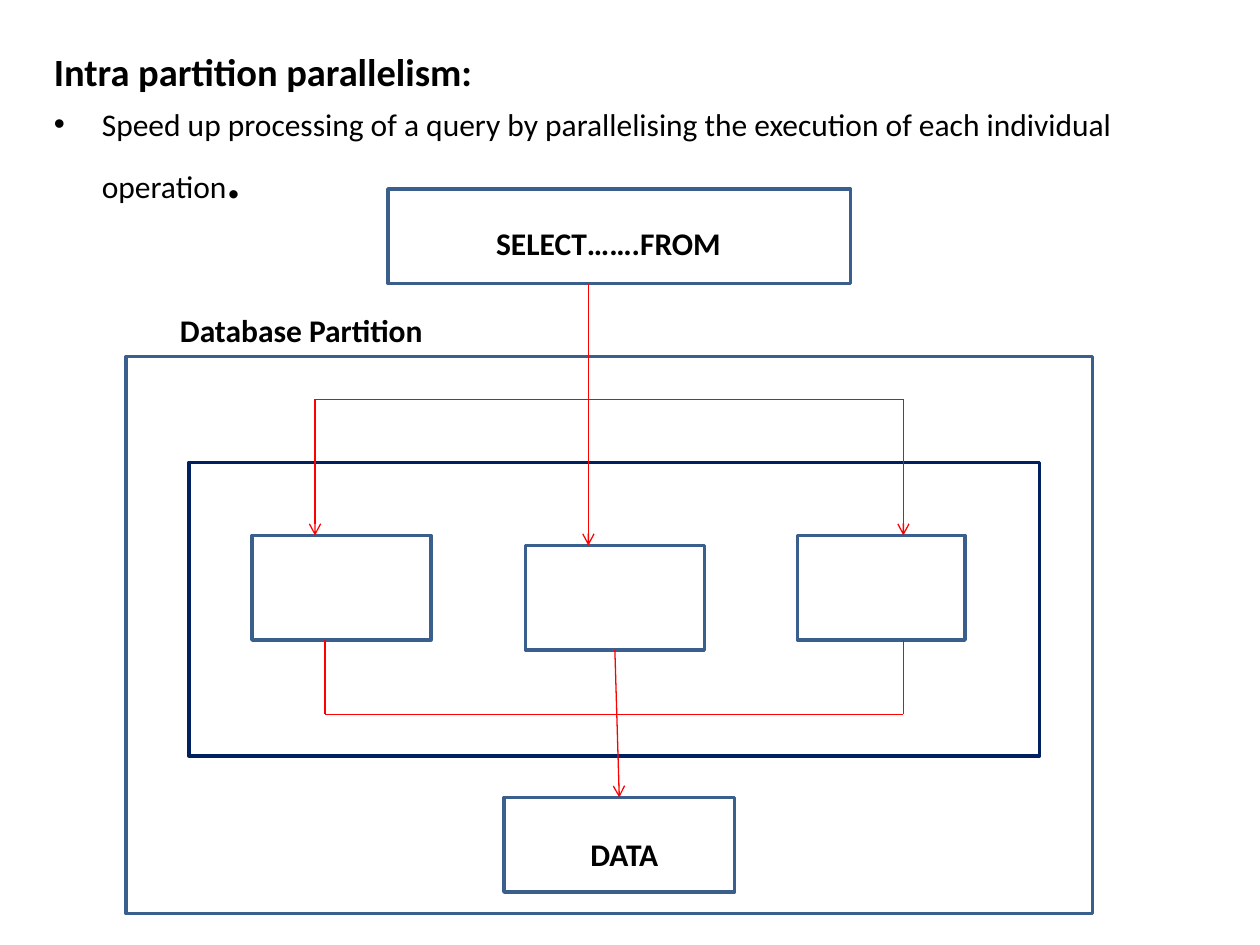
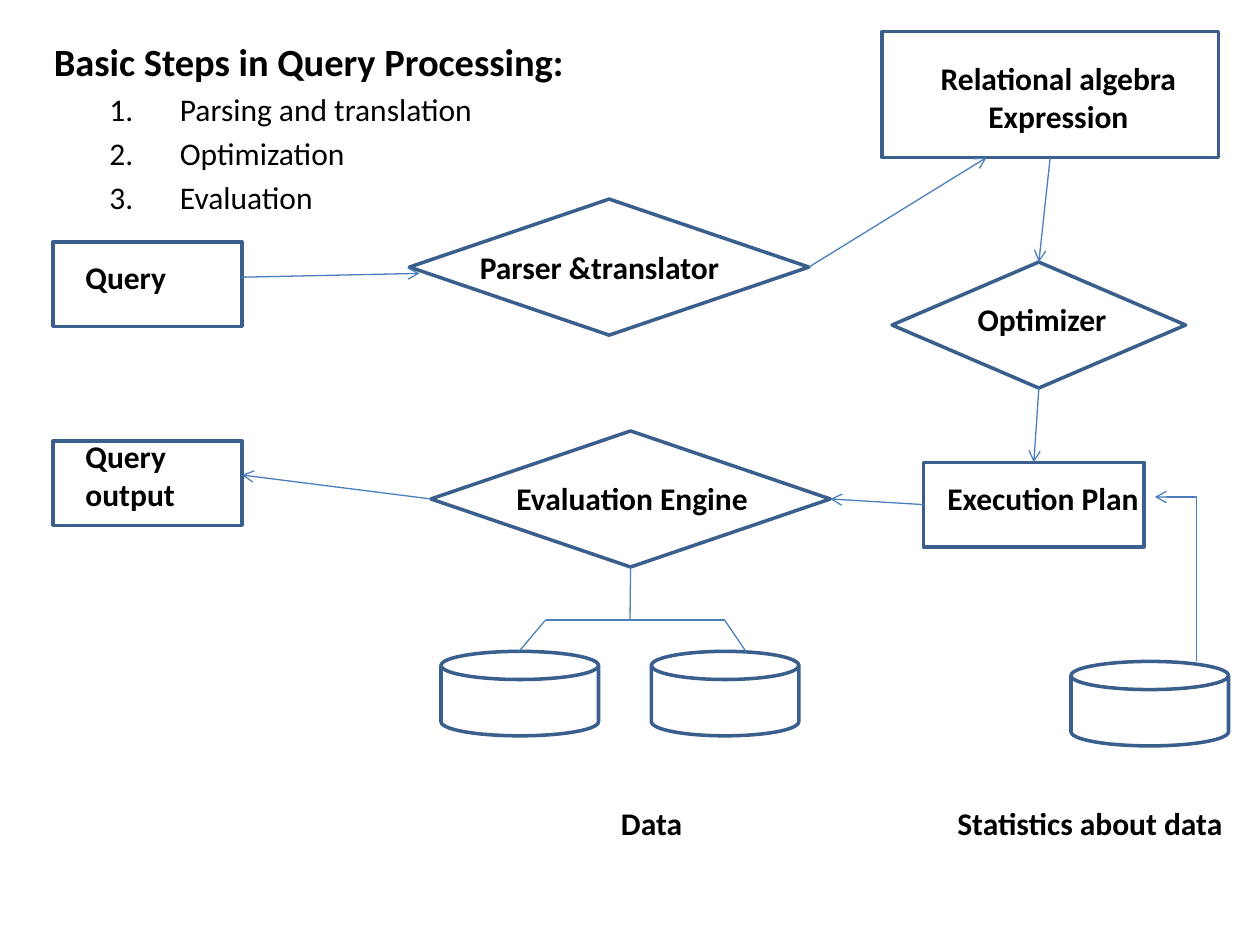
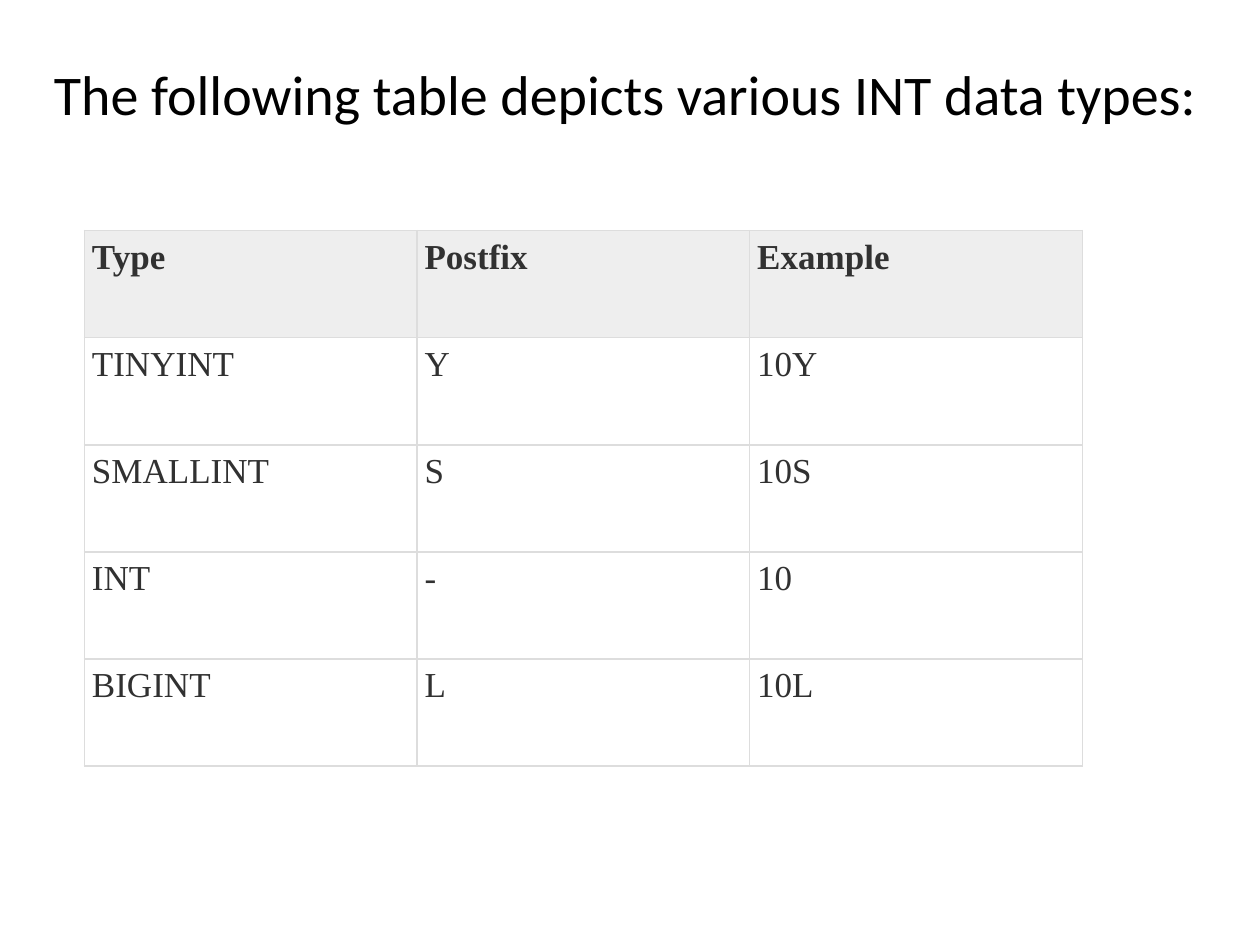
import dataclasses

import lxml.etree
import pptx
import pptx.dml.color
import pptx.enum.shapes
import pptx.enum.text
import pptx.oxml.ns
import pptx.util

Inches = pptx.util.Inches
Pt = pptx.util.Pt
SHAPE = pptx.enum.shapes.MSO_SHAPE
LINK = pptx.enum.shapes.MSO_CONNECTOR
ALIGN = pptx.enum.text.PP_ALIGN
TOP, LEFT, BOTTOM, RIGHT = range(4)


@dataclasses.dataclass(frozen=True)
class Theme:
    font: str = "Calibri"
    serif: str = "Times New Roman"
    black: str = "000000"
    edge: str = "3A5F8C"
    navy: str = "002060"
    red: str = "FF0000"
    blue: str = "4B7EBC"
    grid: str = "DDDDDD"
    head: str = "EEEEEE"
    cell: str = "313131"
    body: int = 18
    table: int = 20
    title: int = 22
    large: int = 32
    frame: float = 2
    wire: float = 0.75


THEME = Theme()


def color(code):
    return pptx.dml.color.RGBColor.from_string(code)


def add_xml(parent, tag, **attrs):
    node = lxml.etree.SubElement(parent, pptx.oxml.ns.qn(tag))
    for name, value in attrs.items():
        node.set(name, str(value))
    return node


def write(para, text, size=THEME.body, bold=False, font=THEME.font,
          ink=THEME.black, align=None, before=0, after=0):
    """Add one formatted run to a paragraph."""
    run = para.add_run()
    run.text = text
    run.font.name = font
    run.font.size = Pt(size)
    run.font.bold = bold
    run.font.color.rgb = color(ink)
    para.alignment = align
    para.space_before = Pt(before)
    para.space_after = Pt(after)


def bullet(para, indent, hang, tag, **attrs):
    props = para._p.get_or_add_pPr()
    props.set("marL", str(Inches(indent)))
    props.set("indent", str(-Inches(hang)))
    if tag == "a:buChar":
        add_xml(props, "a:buFont", typeface="Arial")
    add_xml(props, tag, **attrs)


def text_box(slide, left, top, width, height, wrap=True):
    box = slide.shapes.add_textbox(*map(Inches, (left, top, width, height)))
    box.text_frame.word_wrap = wrap
    return box.text_frame


class Chart:
    """Diagram parts placed from the top left corner of a box."""

    def __init__(self, slide, left, top):
        self.slide, self.left, self.top = slide, left, top

    def place(self, x, y):
        return Inches(self.left + x), Inches(self.top + y)

    def node(self, x, y, width, height, kind=SHAPE.RECTANGLE, ink=THEME.edge):
        shape = self.slide.shapes.add_shape(
            kind, *self.place(x, y), Inches(width), Inches(height))
        shape.shadow.inherit = False
        shape.fill.background()
        shape.line.color.rgb = color(ink)
        shape.line.width = Pt(THEME.frame)
        return shape

    def label(self, text, x, y, width, height=0.4, align=None, wrap=True):
        frame = text_box(self.slide, self.left + x, self.top + y,
                         width, height, wrap)
        frame.auto_size = pptx.enum.text.MSO_AUTO_SIZE.SHAPE_TO_FIT_TEXT
        for i, part in enumerate(text.split("\n")):
            para = frame.add_paragraph() if i else frame.paragraphs[0]
            write(para, part, bold=True, align=align)

    def wire(self, start, stop, ink, arrow=False, kind=LINK.STRAIGHT):
        """Each end is a point (x, y) or a joint (shape, side)."""
        joints = [hasattr(end[0], "shape_id") for end in (start, stop)]
        points = [self.place(0, 0) if joint else self.place(*end)
                  for joint, end in zip(joints, (start, stop))]
        line = self.slide.shapes.add_connector(kind, *points[0], *points[1])
        if joints[0]:
            line.begin_connect(*start)
        if joints[1]:
            line.end_connect(*stop)
        line.line.color.rgb = color(ink)
        line.line.width = Pt(THEME.wire)
        if arrow:
            add_xml(line.line._get_or_add_ln(), "a:tailEnd", type="arrow")
        add_xml(line._element.spPr, "a:effectLst")
        return line


def intro(slide, left, top, width, height, title):
    """Bold heading; returns the frame for further lines."""
    frame = text_box(slide, left, top, width, height)
    write(frame.paragraphs[0], title, size=THEME.title, bold=True)
    return frame


def split_chart(slide, left, top):
    """One query split over three steps inside a partition."""
    art = Chart(slide, left, top)
    red = THEME.red

    # Boxes
    art.node(2.08, 0, 3.67, 0.75)
    art.label("SELECT…….FROM", 2.58, 0.23, 2.5, align=ALIGN.CENTER)
    art.node(0, 1.33, 7.67, 4.42)
    art.node(0.5, 2.17, 6.75, 2.33, ink=THEME.navy)
    data = art.node(3, 4.83, 1.83, 0.75)
    art.node(1, 2.75, 1.42, 0.83)
    middle = art.node(3.17, 2.83, 1.42, 0.83)
    art.node(5.33, 2.75, 1.33, 0.83)

    # Fan out to the steps
    art.wire((3.67, 0.75), (3.67, 2.83), red, arrow=True)
    art.wire((1.5, 1.67), (6.17, 1.67), red)
    for x in (1.5, 6.17):
        art.wire((x, 1.67), (x, 2.75), red, arrow=True)

    # Fan in to the data
    art.wire((1.58, 4.17), (6.17, 4.17), red)
    for x in (1.58, 6.17):
        art.wire((x, 3.58), (x, 4.17), red)
    art.wire((middle, BOTTOM), (data, TOP), red, arrow=True)

    art.label("DATA", 3.58, 5.08, 0.75, align=ALIGN.CENTER)
    art.label("Database Partition", 0.33, 0.92, 2.67)


def flow_chart(slide, left, top):
    """Path of a query from its text to its output."""
    art = Chart(slide, left, top)
    blue = THEME.blue
    choice, disk = SHAPE.FLOWCHART_DECISION, SHAPE.FLOWCHART_MAGNETIC_DISK

    # Steps
    art.node(0, 1.67, 1.5, 0.67)
    parser = art.node(2.83, 1.33, 3.17, 1.08, choice)
    algebra = art.node(6.58, 0, 2.67, 1)
    tuner = art.node(6.66, 1.83, 2.33, 1, choice)
    art.node(0, 3.25, 1.5, 0.67)
    engine = art.node(3, 3.17, 3.17, 1.08, choice)
    plan = art.node(6.91, 3.42, 1.75, 0.67)

    # Stores
    for x, y, width in ((3.08, 4.92, 1.25), (4.75, 4.92, 1.17),
                        (8.08, 5, 1.25)):
        art.node(x, y, width, 0.67, disk)

    # Labels
    art.label("Query", 0.16, 1.75, 1.33)
    art.label("Parser &translator", 3.29, 1.67, 2.4)
    art.label("Relational algebra\nExpression", 6.77, 0.17, 2.42, 0.71,
              align=ALIGN.CENTER)
    art.label("Optimizer", 7.08, 2.08, 1.54, align=ALIGN.CENTER)
    art.label("Query output", 0.16, 3.17, 1.33, 0.71)
    art.label("Evaluation Engine", 3.58, 3.5, 2.05, wrap=False)
    art.label("Execution Plan", 7, 3.5, 1.75)
    art.label("Data", 4.41, 6.08, 0.69, wrap=False)
    art.label("Statistics about data", 7.08, 6.08, 2.33, wrap=False)

    # Arrows along the path
    for start, stop in (
            ((1.5, 1.95), (2.91, 1.92)),
            ((parser, RIGHT), (7.41, 1)),
            ((algebra, BOTTOM), (tuner, TOP)),
            ((tuner, BOTTOM), (plan, TOP)),
            ((plan, LEFT), (engine, RIGHT)),
            ((engine, LEFT), (1.5, 3.52))):
        art.wire(start, stop, blue, arrow=True)

    # Branches to the data stores
    art.wire((engine, BOTTOM), (4.58, 4.67), blue)
    art.wire((3.91, 4.67), (5.33, 4.67), blue)
    art.wire((3.91, 4.67), (3.7, 4.92), blue)
    art.wire((5.33, 4.67), (5.5, 4.92), blue)

    # Statistics turn once, upwards then left, into the plan
    bend = art.wire((8.26, 4.51), (9.56, 4.18), blue, arrow=True,
                    kind=LINK.ELBOW)
    bend._element.spPr.find(pptx.oxml.ns.qn("a:xfrm")).set("rot", "16200000")
    bend._element.spPr.find(pptx.oxml.ns.qn("a:prstGeom")).set(
        "prst", "bentConnector2")


def edge_cell(cell):
    props = cell._tc.get_or_add_tcPr()
    for i, side in enumerate(("a:lnL", "a:lnR", "a:lnT", "a:lnB")):
        line = lxml.etree.Element(pptx.oxml.ns.qn(side), w=str(Pt(1)))
        add_xml(add_xml(line, "a:solidFill"), "a:srgbClr", val=THEME.grid)
        props.insert(i, line)


def type_table(slide, left, top, width, height, rows):
    table = slide.shapes.add_table(
        len(rows), len(rows[0]),
        *map(Inches, (left, top, width, height))).table
    table.horz_banding = False
    for r, row in enumerate(rows):
        for c, text in enumerate(row):
            cell = table.cell(r, c)
            cell.margin_left = cell.margin_right = Inches(0.06)
            cell.margin_top = cell.margin_bottom = Inches(0.06)
            if r == 0:
                cell.fill.solid()
                cell.fill.fore_color.rgb = color(THEME.head)
            else:
                cell.fill.background()
            edge_cell(cell)
            write(cell.text_frame.paragraphs[0], text, size=THEME.table,
                  bold=r == 0, font=THEME.serif, ink=THEME.cell, after=11.5)


def main():
    deck = pptx.Presentation()
    deck.slide_width, deck.slide_height = Inches(10), Inches(7.5)
    first, second, third = (
        deck.slides.add_slide(deck.slide_layouts[6]) for _ in range(3))

    # Parallel work within a partition
    frame = intro(first, 0.33, 0.33, 9.42, 7.17,
                  "Intra partition parallelism:")
    para = frame.add_paragraph()
    write(para, "Speed up processing of a query by parallelising the "
          "execution of each individual operation")
    write(para, ".", size=THEME.large, bold=True, before=6.4)
    bullet(para, 0.38, 0.38, "a:buChar", char="•")
    split_chart(first, 1, 1.5)

    # Steps of query processing
    frame = intro(second, 0.33, 0.25, 9.67, 7,
                  "Basic Steps in Query Processing:")
    for text in ("Parsing and translation", "Optimization", "Evaluation"):
        para = frame.add_paragraph()
        para.level = 1
        write(para, text, before=3.6)
        bullet(para, 1, 0.56, "a:buAutoNum", type="arabicPeriod")
    flow_chart(second, 0.42, 0.25)

    # Table of types
    frame = text_box(third, 0.33, 0.42, 9.42, 6.83)
    write(frame.paragraphs[0],
          "The following table depicts various INT data types:",
          size=THEME.large)
    type_table(third, 0.67, 1.83, 7.92, 4.25, (
        ("Type", "Postfix", "Example"),
        ("TINYINT", "Y", "10Y"),
        ("SMALLINT", "S", "10S"),
        ("INT", "-", "10"),
        ("BIGINT", "L", "10L")))

    deck.save("out.pptx")


if __name__ == "__main__":
    main()
